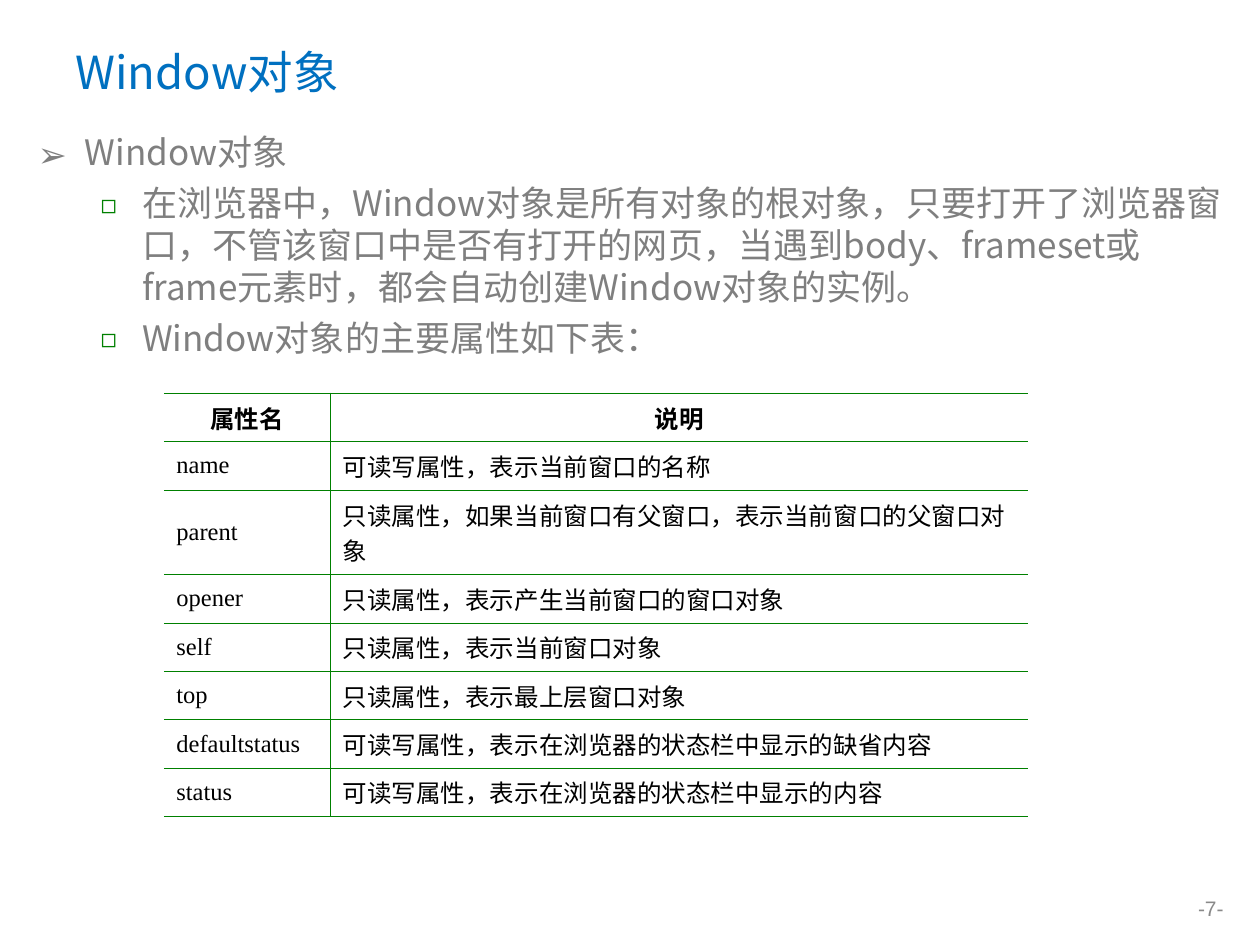
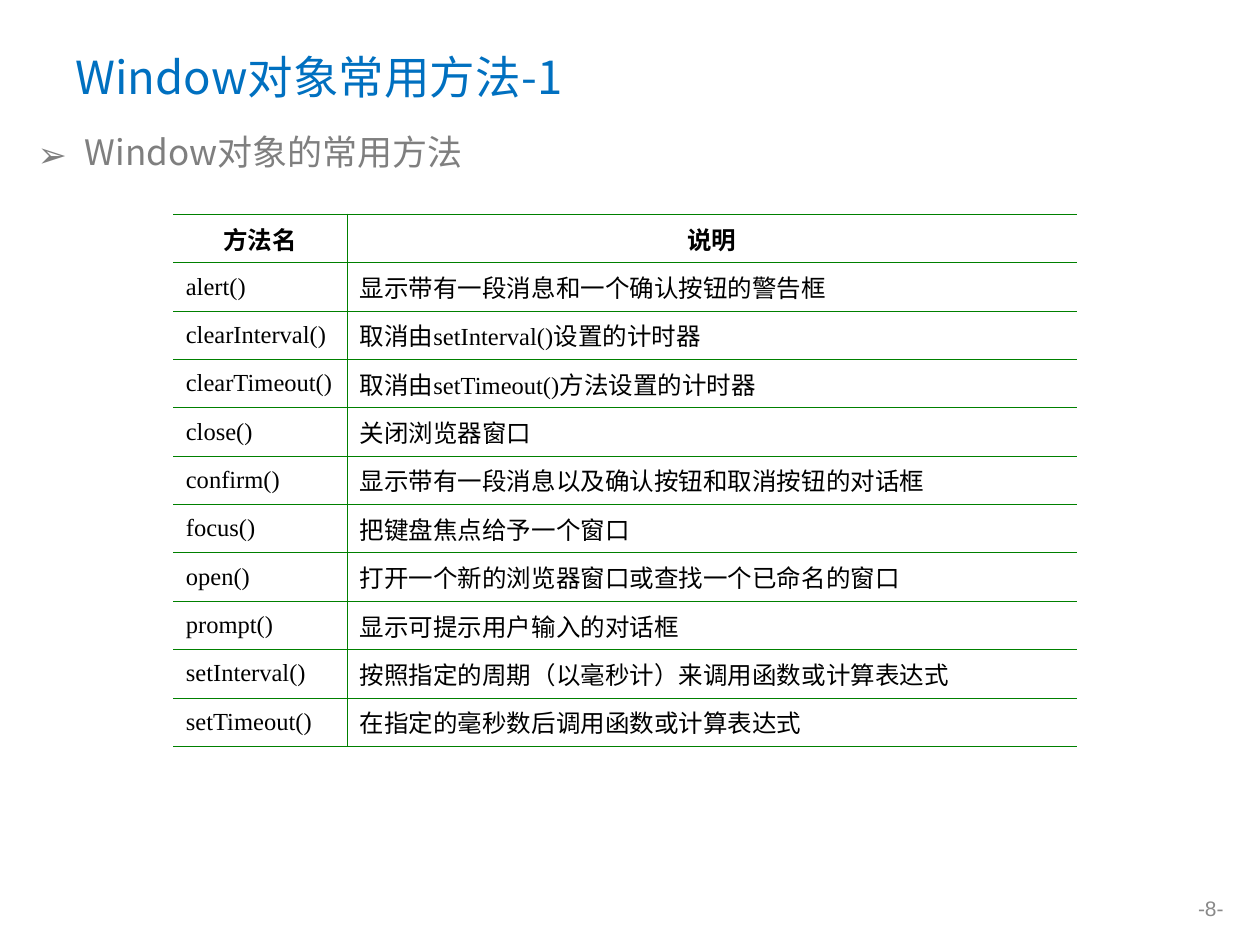
"""Build two slides on the Window object: its properties and its methods."""
from dataclasses import dataclass
from typing import Optional

from lxml.etree import SubElement
from pptx import Presentation
from pptx.dml.color import RGBColor
from pptx.enum.text import MSO_ANCHOR as Anchor, PP_ALIGN as Align
from pptx.oxml.ns import qn
from pptx.util import Emu, Inches, Pt

COLUMNS, ROWS = 100, 75
WIDTH, HEIGHT = Inches(10), Inches(7.5)

BLUE = RGBColor(0x00, 0x70, 0xC0)
GRAY = RGBColor(0x7F, 0x7F, 0x7F)
GREEN = RGBColor(0x00, 0x80, 0x00)
PALE_GRAY = RGBColor(0x89, 0x89, 0x89)
BLACK = RGBColor(0x00, 0x00, 0x00)

CJK, SERIF, SANS = "Noto Sans CJK SC", "Times New Roman", "Arial"
THIN, EDGE = Pt(0.45), Pt(0.75)
ROW_HEIGHT, TALL_ROW_HEIGHT = 3.84, 6.72


@dataclass(frozen=True)
class Box:
    """A rectangle in grid columns and rows."""
    left: float
    top: float
    width: float
    height: float


@dataclass(frozen=True)
class Level:
    """The bullet, its size in percent, and indents in grid columns."""
    mark: str
    color: RGBColor
    percent: int
    margin: float
    hang: float


@dataclass(frozen=True)
class Grid:
    """A two-column table with its header as the first entry."""
    left: float
    top: float
    col_widths: tuple[float, float]
    entries: tuple[tuple[str, str], ...]
    tall_rows: tuple[int, ...] = ()


@dataclass(frozen=True)
class Page:
    """The content of one slide."""
    number: int
    title: str
    title_height: float
    outline: tuple[tuple[int, str], ...]
    grid: Grid


BODY = Box(2, 9.9, 96.9, 57.1)
NUMBER = Box(91, 70.6, 7.1, 2.9)
LEVELS = (Level("➢", GRAY, 100, 3.75, 3.75), Level("◻", GREEN, 75, 8.3, 3.3))

PAGES = (
    Page(7, "Window对象", 5.4, (
        (0, "Window对象"),
        (1, "在浏览器中，Window对象是所有对象的根对象，只要打开了浏览器窗口，"
            "不管该窗口中是否有打开的网页，当遇到body、frameset或frame元素时，"
            "都会自动创建Window对象的实例。"),
        (1, "Window对象的主要属性如下表："),
    ), Grid(13, 31.2, (13.2, 55.4), (
        ("属性名", "说明"),
        ("name", "可读写属性，表示当前窗口的名称"),
        ("parent", "只读属性，如果当前窗口有父窗口，表示当前窗口的父窗口对象"),
        ("opener", "只读属性，表示产生当前窗口的窗口对象"),
        ("self", "只读属性，表示当前窗口对象"),
        ("top", "只读属性，表示最上层窗口对象"),
        ("defaultstatus", "可读写属性，表示在浏览器的状态栏中显示的缺省内容"),
        ("status", "可读写属性，表示在浏览器的状态栏中显示的内容"),
    ), tall_rows=(2,))),
    Page(8, "Window对象常用方法-1", 6.1, (
        (0, "Window对象的常用方法"),
    ), Grid(13.75, 17, (13.8, 57.9), (
        ("方法名", "说明"),
        ("alert()", "显示带有一段消息和一个确认按钮的警告框"),
        ("clearInterval()", "取消由setInterval()设置的计时器"),
        ("clearTimeout()", "取消由setTimeout()方法设置的计时器"),
        ("close()", "关闭浏览器窗口"),
        ("confirm()", "显示带有一段消息以及确认按钮和取消按钮的对话框"),
        ("focus()", "把键盘焦点给予一个窗口"),
        ("open()", "打开一个新的浏览器窗口或查找一个已命名的窗口"),
        ("prompt()", "显示可提示用户输入的对话框"),
        ("setInterval()", "按照指定的周期（以毫秒计）来调用函数或计算表达式"),
        ("setTimeout()", "在指定的毫秒数后调用函数或计算表达式"),
    ))),
)


def col(n: float) -> Emu:
    """Return the length of n grid columns."""
    return Emu(round(WIDTH * n / COLUMNS))


def row(n: float) -> Emu:
    """Return the length of n grid rows."""
    return Emu(round(HEIGHT * n / ROWS))


def write(p, text: str, *, size: float, color: RGBColor, font: str = CJK,
          bold: bool = False, align: Align = Align.LEFT) -> None:
    """Write formatted text into a paragraph."""
    p.alignment = align
    r = p.add_run()
    r.text = text
    r.font.size, r.font.bold, r.font.name = Pt(size), bold, font
    r.font.color.rgb = color
    SubElement(r.font._element, qn("a:ea")).set("typeface", CJK)


def add_box(s, box: Box, anchor: Anchor = Anchor.MIDDLE):
    """Add a wrapping text box and return its text frame."""
    tf = s.shapes.add_textbox(col(box.left), row(box.top),
                              col(box.width), row(box.height)).text_frame
    tf.word_wrap = True
    tf.vertical_anchor = anchor
    return tf


def set_bullet(p, level: Level) -> None:
    """Give a paragraph the bullet and hanging indent of its level."""
    pPr = p._p.get_or_add_pPr()
    pPr.set("marL", str(col(level.margin)))
    pPr.set("indent", str(-col(level.hang)))
    tint = SubElement(SubElement(pPr, qn("a:buClr")), qn("a:srgbClr"))
    tint.set("val", str(level.color))
    SubElement(pPr, qn("a:buSzPct")).set("val", str(level.percent * 1000))
    SubElement(pPr, qn("a:buFont")).set("typeface", CJK)
    SubElement(pPr, qn("a:buChar")).set("char", level.mark)


def add_outline(s, items: tuple[tuple[int, str], ...]) -> None:
    """Add the bulleted body text."""
    tf = add_box(s, BODY, Anchor.TOP)
    for i, (depth, text) in enumerate(items):
        p = tf.add_paragraph() if i else tf.paragraphs[0]
        p.level = depth
        p.line_spacing = Pt(24)
        p.space_before = Pt(5 if i else 0)
        set_bullet(p, LEVELS[depth])
        write(p, text, size=20, color=GRAY)


def set_border(cell, side: str, width: Optional[Emu]) -> None:
    """Draw one side of a cell in green, or hide it."""
    ln = SubElement(cell._tc.get_or_add_tcPr(), qn(f"a:ln{side}"))
    if width is None:
        SubElement(ln, qn("a:noFill"))
        return
    ln.set("w", str(width))
    fill = SubElement(ln, qn("a:solidFill"))
    SubElement(fill, qn("a:srgbClr")).set("val", str(GREEN))


def add_grid(s, grid: Grid) -> None:
    """Add a table that is ruled inside and open at both sides."""
    count = len(grid.entries)
    heights = [TALL_ROW_HEIGHT if i in grid.tall_rows else ROW_HEIGHT
               for i in range(count)]
    table = s.shapes.add_table(count, 2, col(grid.left), row(grid.top),
                               col(sum(grid.col_widths)),
                               row(sum(heights))).table
    table.first_row = table.horz_banding = False
    for column, width in zip(table.columns, grid.col_widths):
        column.width = col(width)
    for i, entry in enumerate(grid.entries):
        table.rows[i].height = row(heights[i])
        for j, text in enumerate(entry):
            cell = table.cell(i, j)
            cell.vertical_anchor = Anchor.MIDDLE
            set_border(cell, "L", THIN if j else None)
            set_border(cell, "R", None if j else THIN)
            set_border(cell, "T", THIN if i else EDGE)
            set_border(cell, "B", EDGE if i == count - 1 else THIN)
            cell.fill.background()
            write(cell.text_frame.paragraphs[0], text, size=14, color=BLACK,
                  font=SERIF, bold=i == 0,
                  align=Align.LEFT if i else Align.CENTER)


def add_page(prs, page: Page) -> None:
    """Add one slide with title, outline, table and page number."""
    s = prs.slides.add_slide(prs.slide_layouts[6])
    title = add_box(s, Box(5, 3, 90, page.title_height))
    write(title.paragraphs[0], page.title, size=26, color=BLUE)
    add_outline(s, page.outline)
    add_grid(s, page.grid)
    write(add_box(s, NUMBER).paragraphs[0], f"-{page.number}-", size=12,
          color=PALE_GRAY, font=SANS, align=Align.RIGHT)


def main() -> None:
    """Build and save the presentation."""
    prs = Presentation()
    prs.slide_width, prs.slide_height = WIDTH, HEIGHT
    for page in PAGES:
        add_page(prs, page)
    prs.save("out.pptx")


if __name__ == "__main__":
    main()
